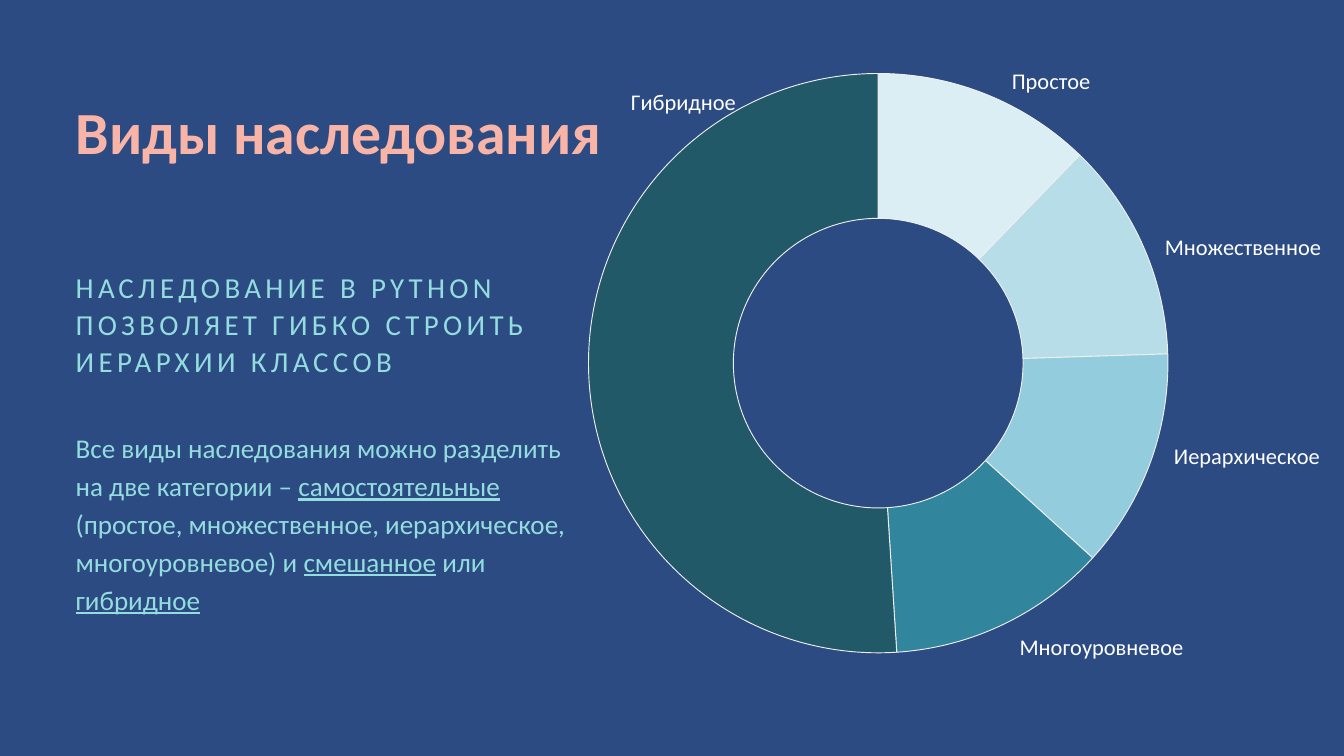
import dataclasses

import pptx
import pptx.chart.data
import pptx.dml.color
import pptx.enum.chart
import pptx.enum.text
import pptx.oxml
import pptx.oxml.ns
import pptx.util

Cm = pptx.util.Cm
Pt = pptx.util.Pt


@dataclasses.dataclass(frozen=True)
class Theme:
    font: str = "Calibri"
    background: str = "2B4B82"
    title: str = "F7B4A7"
    text: str = "94DDDE"
    label: str = "FFFFFF"
    slice_line: str = "EFEFEF"
    title_size: float = 64
    subtitle_size: float = 31
    body_size: float = 29
    label_size: float = 24


THEME = Theme()
LEFT = Cm(2.86)
TEXT_WIDTH = Cm(19.35)

BODY = [
    ("Все виды наследования можно разделить на две категории – ", False),
    ("самостоятельные", True),
    (" (простое, множественное, иерархическое, многоуровневое) и ", False),
    ("смешанное", True),
    (" или ", False),
    ("гибридное", True),
]

# name, value, colour, label shift in percent of the chart's width and height
KINDS = [
    ("Простое", 12, "DBEEF4", 10.2, -13.3),
    ("Множественное", 12, "B7DEE8", 18.6, -4.5),
    ("Иерархическое", 12, "93CDDD", 18.4, 3.2),
    ("Многоуровневое", 12, "31859C", 14.4, 15),
    ("Гибридное", 50, "215968", 2.5, -44.7),
]


def rgb(value):
    return pptx.dml.color.RGBColor.from_string(value)


def style_font(font, size, colour, bold=False):
    font.name = THEME.font
    font.size = Pt(size)
    font.bold = bold
    font.color.rgb = rgb(colour)


def fill_text(box, spans, size, colour, line_spacing, bold=False, tracking=0):
    """Write (text, underlined) spans as one paragraph in a box without margins."""
    frame = box.text_frame
    frame.word_wrap = True
    frame.auto_size = pptx.enum.text.MSO_AUTO_SIZE.NONE
    frame.vertical_anchor = pptx.enum.text.MSO_ANCHOR.TOP
    frame.margin_left = frame.margin_right = 0
    frame.margin_top = frame.margin_bottom = 0
    para = frame.paragraphs[0]
    para.alignment = pptx.enum.text.PP_ALIGN.LEFT
    para.line_spacing = Pt(line_spacing)
    for text, underlined in spans:
        span = para.add_run()
        span.text = text
        style_font(span.font, size, colour, bold)
        if underlined:
            span.font.underline = True
        if tracking:
            span.font._element.set("spc", str(round(tracking * 100)))


def add_title(page, text):
    title = page.shapes.title
    title.left, title.top, title.width, title.height = LEFT, Cm(3.91), Cm(19.91), Cm(5.33)
    fill_text(title, [(text, False)], THEME.title_size, THEME.title, 67.2, bold=True)


def add_text(page, top, height, spans, size, line_spacing, tracking=0):
    box = page.shapes.add_textbox(LEFT, top, TEXT_WIDTH, height)
    fill_text(box, spans, size, THEME.text, line_spacing, tracking=tracking)


def make_layout(modes=None, **percents):
    """Make a manual chart layout from modes and from percentages of the chart."""
    values = dict(modes or {})
    values.update({tag: round(percent / 100, 4) for tag, percent in percents.items()})
    children = "".join(f'<c:{tag} val="{value}"/>' for tag, value in values.items())
    return pptx.oxml.parse_xml(
        f'<c:layout {pptx.oxml.ns.nsdecls("c")}>'
        f"<c:manualLayout>{children}</c:manualLayout></c:layout>"
    )


def place_plot(chart):
    """Fix the ring's place inside the chart frame."""
    area = chart._chartSpace.chart.plotArea
    for old in area.findall(pptx.oxml.ns.qn("c:layout")):
        area.remove(old)
    modes = {"layoutTarget": "inner", "xMode": "edge", "yMode": "edge"}
    area.insert(0, make_layout(modes, x=18.2, y=1.5, w=64.7, h=97))


def label_point(point, text, shift_x, shift_y):
    label = point.data_label
    span = label.text_frame.paragraphs[0].add_run()
    span.text = text
    style_font(span.font, THEME.label_size, THEME.label)
    index = label._get_or_add_dLbl().find(pptx.oxml.ns.qn("c:idx"))
    index.addnext(make_layout(x=shift_x, y=shift_y))


def add_kinds_chart(page):
    data = pptx.chart.data.CategoryChartData()
    data.categories = [str(number) for number in range(1, len(KINDS) + 1)]
    data.add_series("Series 1", [kind[1] for kind in KINDS])
    chart = page.shapes.add_chart(
        pptx.enum.chart.XL_CHART_TYPE.DOUGHNUT,
        Cm(16.08), Cm(2.44), Cm(33.86), Cm(22.58), data).chart
    chart.has_legend = False
    chart.has_title = False
    style_font(chart.font, THEME.label_size, THEME.label)
    place_plot(chart)
    plot = chart.plots[0]
    plot.vary_by_categories = True
    series = plot.series[0]
    for number, (name, _, colour, shift_x, shift_y) in enumerate(KINDS):
        point = series.points[number]
        point.format.fill.solid()
        point.format.fill.fore_color.rgb = rgb(colour)
        point.format.line.color.rgb = rgb(THEME.slice_line)
        point.format.line.width = Pt(1)
        label_point(point, name, shift_x, shift_y)
    for leader in chart._chartSpace.iter(pptx.oxml.ns.qn("c:showLeaderLines")):
        leader.set("val", "0")


def main():
    deck = pptx.Presentation()
    deck.slide_width, deck.slide_height = Cm(50.8), Cm(28.58)
    page = deck.slides.add_slide(deck.slide_layouts[5])
    page.background.fill.solid()
    page.background.fill.fore_color.rgb = rgb(THEME.background)
    add_title(page, "Виды наследования")
    add_text(
        page, Cm(10.11), Cm(4.62),
        [("НАСЛЕДОВАНИЕ В PYTHON ПОЗВОЛЯЕТ ГИБКО СТРОИТЬ ИЕРАРХИИ КЛАССОВ", False)],
        THEME.subtitle_size, 39.7, tracking=4.7)
    add_text(page, Cm(16.12), Cm(9.63), BODY, THEME.body_size, 40.6)
    add_kinds_chart(page)
    deck.save("out.pptx")


if __name__ == "__main__":
    main()
